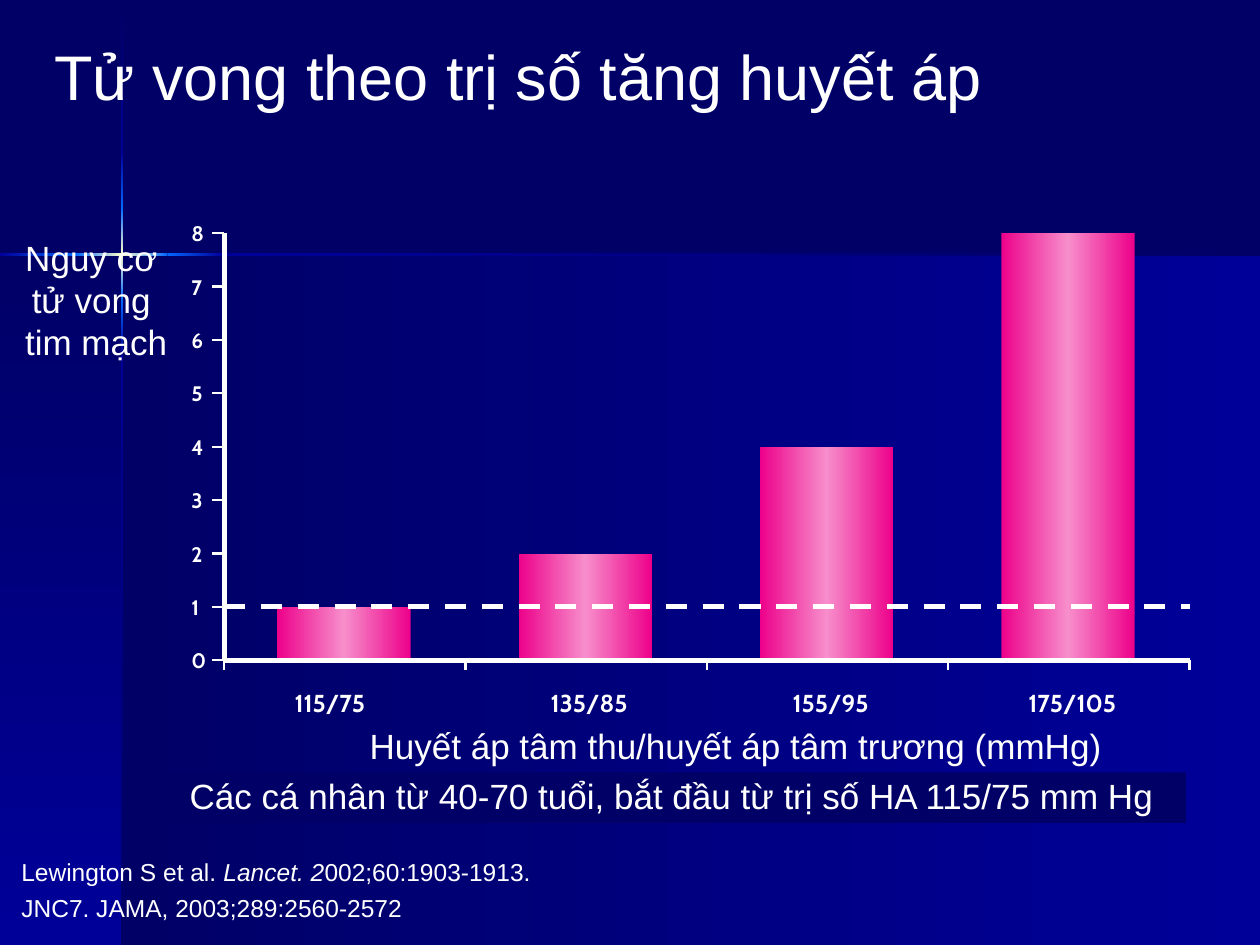
from lxml import etree
from pptx import Presentation
from pptx import util as u
from pptx.dml.color import RGBColor
from pptx.enum import dml, shapes, text
from pptx.oxml import ns

NAVY = RGBColor(0x00, 0x00, 0x66)
BLUE = RGBColor(0x00, 0x00, 0x99)
SKY = RGBColor(0x00, 0x66, 0xFF)
CREAM = RGBColor(0xFF, 0xFF, 0xCC)
PINK = RGBColor(0xED, 0x01, 0x8A)
ROSE = RGBColor(0xF7, 0x8E, 0xCB)
WHITE = RGBColor(0xFF, 0xFF, 0xFF)

MID = text.PP_ALIGN.CENTER
LOW = text.MSO_ANCHOR.BOTTOM
GROW = text.MSO_AUTO_SIZE.SHAPE_TO_FIT_TEXT
BODY = {"name": "Arial", "size": u.Pt(20)}
NOTE = {"name": "Arial", "size": u.Pt(14)}
HEAD = {"name": "Arial", "size": u.Pt(36)}
TICK = {"name": "Cabin", "size": u.Pt(12), "bold": True}
GROUP = {"name": "Cabin", "size": u.Pt(14), "bold": True}
BARE = dict.fromkeys(
    ("margin_left", "margin_top", "margin_right", "margin_bottom"), 0)

# Plot area in centimetres
LEFT, RIGHT, TOP, BASE = 4.52, 23.98, 4.7, 13.31
PEAK = 8
STEP = (BASE - TOP) / PEAK
# Value, label, label left and label width of each bar
BARS = [(1, "115/75", 5.94, 1.85), (2, "135/85", 11.1, 1.85),
        (4, "155/95", 15.98, 1.85), (8, "175/105", 20.73, 2.16)]
PITCH = (RIGHT - LEFT) / len(BARS)


def apply(item, form):
    for key, value in form.items():
        setattr(item, key, value)


def cms(*sizes):
    return [u.Cm(size) for size in sizes]


class Page:
    def __init__(self, slide, ink=WHITE):
        self.slide = slide
        self.ink = ink

    def box(self, place, *hues, down=False):
        """Add a rectangle, filled plain for one hue, else with a gradient."""
        shape = self.slide.shapes.add_shape(
            shapes.MSO_SHAPE.RECTANGLE, *cms(*place))
        shape.shadow.inherit = False
        shape.line.fill.background()
        if len(hues) == 1:
            shape.fill.solid()
            shape.fill.fore_color.rgb = hues[0]
            return shape
        shape.fill.gradient()
        shape.fill.gradient_angle = 270 if down else 0
        stops = shape._element.spPr.find(".//" + ns.qn("a:gsLst"))
        for stop in list(stops):
            stops.remove(stop)
        for i, hue in enumerate(hues):
            stop = etree.SubElement(stops, ns.qn("a:gs"),
                                    pos=str(100000 * i // (len(hues) - 1)))
            etree.SubElement(stop, ns.qn("a:srgbClr"), val=str(hue))
        return shape

    def line(self, x1, y1, x2, y2, width=1.25, dash=None):
        rule = self.slide.shapes.add_connector(
            shapes.MSO_CONNECTOR.STRAIGHT, *cms(x1, y1, x2, y2))
        rule.line.color.rgb = self.ink
        apply(rule.line, {"width": u.Pt(width), "dash_style": dash})
        etree.SubElement(rule._element.spPr, ns.qn("a:effectLst"))

    def letter(self, shape, lines, font, frame=None, para=None):
        """Fill a shape; each line is a list of (words, italic) or a string."""
        body = shape.text_frame
        apply(body, {"word_wrap": True, "auto_size": GROW, **(frame or {})})
        for i, line in enumerate(lines):
            par = body.paragraphs[0] if i == 0 else body.add_paragraph()
            form = dict(para or {})
            if i == 0:
                form.pop("space_before", None)
            apply(par, form)
            runs = [(line, None)] if isinstance(line, str) else line
            for words, slant in runs:
                run = par.add_run()
                run.text = words
                apply(run.font, {**font, "italic": slant})
                run.font.color.rgb = self.ink

    def label(self, place, lines, font, frame=None, para=None):
        shape = self.slide.shapes.add_textbox(*cms(*place))
        self.letter(shape, lines, font, frame, para)


def backdrop(page):
    page.box((2.46, 5.13, 22.94, 13.92), NAVY, BLUE)
    page.box((0, 5.13, 2.46, 13.92), NAVY, BLUE, down=True)
    glow = [(NAVY, BLUE), (BLUE, SKY), (SKY, CREAM, SKY),
            (SKY, BLUE), (BLUE, NAVY)]
    rows = [0.03, 3.07, 4.19, 6.05, 7.16, 19.05]
    for hues, start, end in zip(glow, rows, rows[1:]):
        page.box((2.44, start, 0.05, end - start), *hues, down=True)
    cols = [0, 1.53, 3.38, 4.5, 25.4]
    for hues, start, end in zip(glow[1:], cols, cols[1:]):
        page.box((start, 5.11, end - start, 0.05), *hues)


def plot(page):
    for i, (value, *_) in enumerate(BARS):
        tall = value * STEP
        page.box((LEFT + i * PITCH + 1.07, BASE - tall, 2.69, tall),
                 PINK, ROSE, PINK)
    page.line(LEFT, TOP, LEFT, BASE, 3)
    page.line(LEFT, BASE, RIGHT, BASE, 3)
    tight = {**BARE, "word_wrap": False}
    for value in range(PEAK + 1):
        y = BASE - value * STEP
        page.line(LEFT - 0.25, y, LEFT, y)
        page.label((3.86, y - 0.25, 0.28, 0.51), [str(value)], TICK, tight)
    for i in range(len(BARS) + 1):
        x = LEFT + i * PITCH
        page.line(x, BASE + 0.2, x, BASE)
    for _, name, x, wide in BARS:
        page.label((x, 13.87, wide, 0.58), [name], GROUP, tight)
    page.line(LEFT, BASE - STEP, RIGHT, BASE - STEP, 3, dml.MSO_LINE.DASH)


def main():
    deck = Presentation()
    apply(deck, {"slide_width": u.Cm(25.4), "slide_height": u.Cm(19.05)})
    slide = deck.slides.add_slide(deck.slide_layouts[6])
    slide.background.fill.solid()
    slide.background.fill.fore_color.rgb = NAVY
    page = Page(slide)
    backdrop(page)
    band = page.box((3.18, 15.57, 20.73, 1.02), NAVY)
    page.letter(band,
                ["Các cá nhân từ 40-70 tuổi, bắt đầu từ trị số HA 115/75 mm Hg"],
                BODY, {"vertical_anchor": LOW},
                {"alignment": MID, "line_spacing": 0.9})
    page.label((0.25, 4.65, 3.38, 2.79), ["Nguy cơ ", "tử vong ", "tim mạch"],
               BODY, {"word_wrap": False}, {"alignment": MID})
    page.label((7.19, 14.48, 15.29, 1.09),
               ["Huyết áp tâm thu/huyết áp tâm trương (mmHg)"],
               BODY, para={"alignment": MID})
    plot(page)
    page.label((0.18, 17.15, 11.56, 1.57),
               [[("Lewington S et al. ", None), ("Lancet. 2", True),
                 ("002;60:1903-1913.", None)],
                "JNC7. JAMA, 2003;289:2560-2572"],
               NOTE, {"vertical_anchor": LOW}, {"space_before": u.Pt(4)})
    page.label((0.84, 0.43, 20.12, 2.18), ["Tử vong theo trị số tăng huyết áp"],
               HEAD, {"vertical_anchor": text.MSO_ANCHOR.MIDDLE,
                      "auto_size": text.MSO_AUTO_SIZE.NONE})
    deck.save("out.pptx")


if __name__ == "__main__":
    main()
